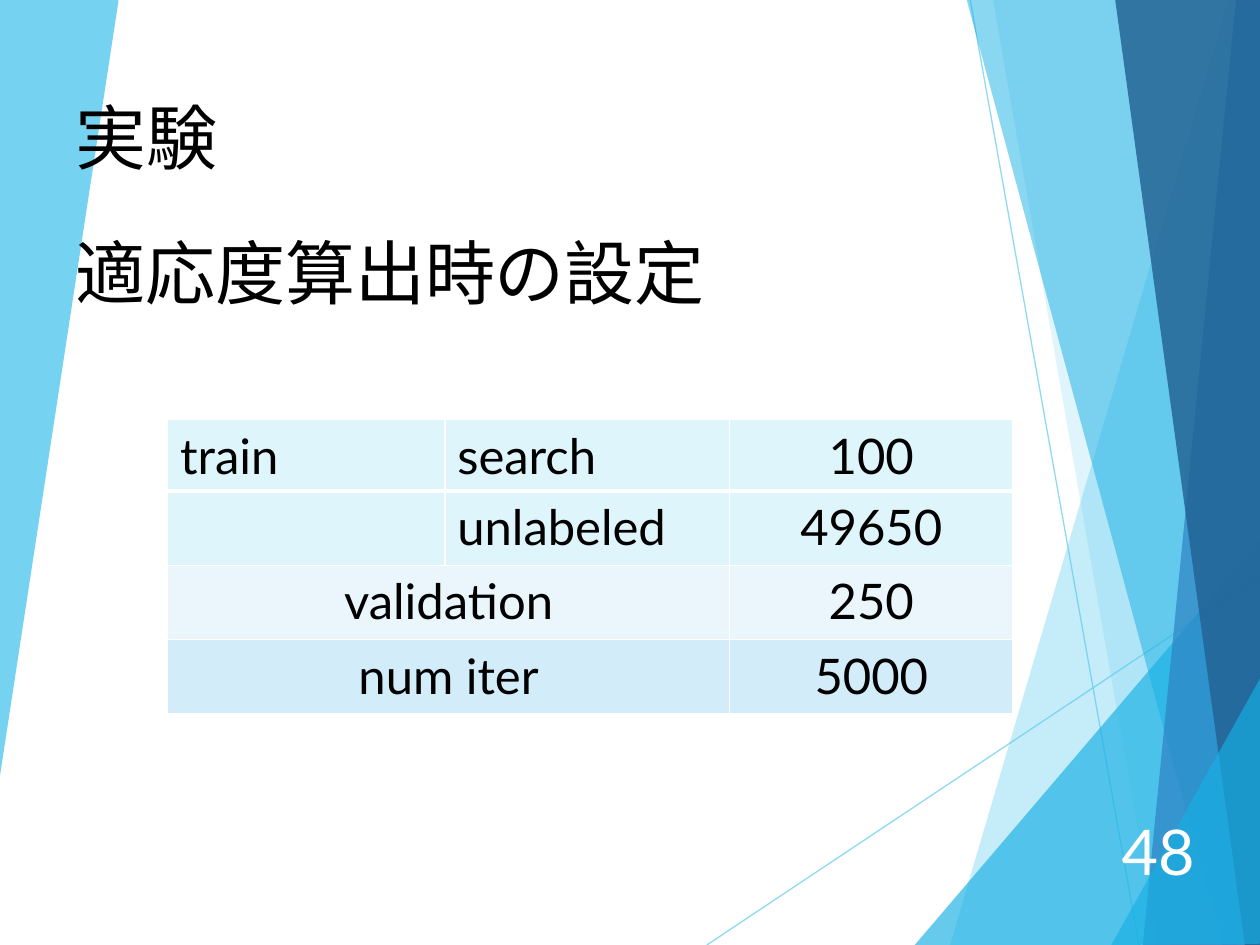
from lxml import etree
from pptx import Presentation
from pptx.dml.color import RGBColor
from pptx.enum.shapes import MSO_CONNECTOR
from pptx.enum.text import MSO_ANCHOR, PP_ALIGN
from pptx.oxml.ns import qn
from pptx.util import Inches, Pt

LEFT, CENTER, RIGHT = PP_ALIGN.LEFT, PP_ALIGN.CENTER, PP_ALIGN.RIGHT
MIDDLE = MSO_ANCHOR.MIDDLE
STRAIGHT = MSO_CONNECTOR.STRAIGHT
FONT, BLACK, WHITE = "Lato", "000000", "FFFFFF"
SKY, CYAN, BLUE, NAVY = "5FCBEF", "17B0E4", "2E83C3", "226292"

TITLE = "実験"
SUBTITLE = "適応度算出時の設定"
SLIDE_NUMBER = "48"

# Row fill, then the cell texts; None joins the cell to the one on its left
TABLE_ROWS = [
    ("DFF5FC", ["train", "search", "100"]),
    ("DFF5FC", ["", "unlabeled", "49650"]),
    ("EAF6FC", ["validation", None, "250"]),
    ("D2ECF9", ["num iter", None, "5000"]),
]
COLUMN_WIDTHS = [2.2, 2.26, 2.25]
ROW_HEIGHTS = [0.56, 0.59, 0.59, 0.59]

BACKGROUND_LINES = [((5.61, 7.5), (10.01, 4.57)), ((7.7, 0), (9.04, 7.5))]
# Colour, opacity in percent, corners
FACETS = [
    (SKY, 36, [(9.75, 0), (7.54, 7.5), (10.02, 7.51), (10.01, 0.01)]),
    (SKY, 20, [(7.88, -0.01), (9.19, 7.5), (10.01, 7.5), (10.01, -0.01)]),
    (CYAN, 66, [(7.26, 7.5), (10, 4.29), (10.01, 7.5)]),
    (CYAN, 50, [(7.67, -0.01), (9.7, 7.5), (10.01, 7.49), (10.01, -0.01)]),
    (BLUE, 70, [(9.81, -0.01), (9.07, 7.5), (10.01, 7.5), (10, -0.01)]),
    (NAVY, 82, [(8.85, -0.01), (9.88, 7.5), (10.02, 7.5), (10, -0.01)]),
    (CYAN, 66, [(8.82, 7.5), (10.02, 5.35), (10.02, 7.49)]),
    (SKY, 85, [(-0.01, 0), (0.94, -0.01), (0.94, 0.01), (-0.01, 6.22)]),
]


def color(hex_code):
    return RGBColor.from_string(hex_code)


def set_opacity(fill_parent, percent):
    """Add an alpha value to the first solid colour inside an element."""
    color_element = next(fill_parent.iter(qn("a:srgbClr")))
    etree.SubElement(color_element, qn("a:alpha"), val=str(percent * 1000))


def write(text_frame, text, size, hex_code=BLACK, align=LEFT):
    text_frame.word_wrap = True
    paragraph = text_frame.paragraphs[0]
    paragraph.alignment = align
    run = paragraph.add_run()
    run.text = text
    run.font.name, run.font.size = FONT, Pt(size)
    run.font.color.rgb = color(hex_code)


def place(shape, left, top, width, height):
    shape.left, shape.top = Inches(left), Inches(top)
    shape.width, shape.height = Inches(width), Inches(height)


def add_text(slide, box, *text_format):
    shape = slide.shapes.add_textbox(*map(Inches, box))
    shape.text_frame.vertical_anchor = MIDDLE
    write(shape.text_frame, *text_format)


def add_background(slide):
    for start, end in BACKGROUND_LINES:
        connector = slide.shapes.add_connector(STRAIGHT, *map(Inches, start + end))
        connector.line.color.rgb = color(SKY)
        connector.line.width = Pt(0.75)
        properties = connector._element.spPr
        set_opacity(properties, 70)
        etree.SubElement(properties, qn("a:effectLst"))
    for hex_code, opacity, corners in FACETS:
        points = [(Inches(x), Inches(y)) for x, y in corners]
        builder = slide.shapes.build_freeform(*points[0])
        builder.add_line_segments(points[1:], close=True)
        facet = builder.convert_to_shape()
        facet.shadow.inherit = False
        facet.line.fill.background()
        facet.fill.solid()
        facet.fill.fore_color.rgb = color(hex_code)
        set_opacity(facet._element.spPr, opacity)


def set_borders(cell, widths):
    """Draw white cell borders; widths maps each side to points."""
    properties = cell._tc.get_or_add_tcPr()
    for index, side in enumerate("LRTB"):
        border = etree.Element(qn(f"a:ln{side}"), w=str(Pt(widths[side])))
        fill = etree.SubElement(border, qn("a:solidFill"))
        etree.SubElement(fill, qn("a:srgbClr"), val=WHITE)
        properties.insert(index, border)


def add_settings_table(slide):
    frame = slide.shapes.add_table(
        len(ROW_HEIGHTS), len(COLUMN_WIDTHS), Inches(1.33), Inches(3.33),
        Inches(sum(COLUMN_WIDTHS)), Inches(sum(ROW_HEIGHTS)))
    table = frame.table
    for column, width in zip(table.columns, COLUMN_WIDTHS):
        column.width = Inches(width)
    for row, height in zip(table.rows, ROW_HEIGHTS):
        row.height = Inches(height)
    for row_index, (fill, texts) in enumerate(TABLE_ROWS):
        for column_index, text in enumerate(texts):
            cell = table.cell(row_index, column_index)
            cell.fill.solid()
            cell.fill.fore_color.rgb = color(fill)
            set_borders(cell, {"L": 1, "R": 1,
                               "T": 3 if row_index == 1 else 1,
                               "B": 3 if row_index == 0 else 1})
            if text is None:
                table.cell(row_index, column_index - 1).merge(cell)
            elif text:
                centered = column_index == 2 or None in texts
                write(cell.text_frame, text, 28, align=CENTER if centered else LEFT)


def main():
    presentation = Presentation()
    presentation.slide_width, presentation.slide_height = Inches(10), Inches(7.5)
    slide = presentation.slides.add_slide(presentation.slide_layouts[5])
    add_background(slide)
    add_text(slide, (8.74, 6.48, 0.84, 0.53), SLIDE_NUMBER, 36, WHITE, RIGHT)

    title = slide.shapes.title
    slide.shapes._spTree.append(title._element)  # in front of the background
    place(title, 0.5, 0.69, 3.81, 0.78)
    title.text_frame.vertical_anchor = MIDDLE
    write(title.text_frame, TITLE, 40.5)

    add_settings_table(slide)
    add_text(slide, (0.5, 1.77, 7.71, 0.77), SUBTITLE, 40)
    presentation.save("out.pptx")


if __name__ == "__main__":
    main()
